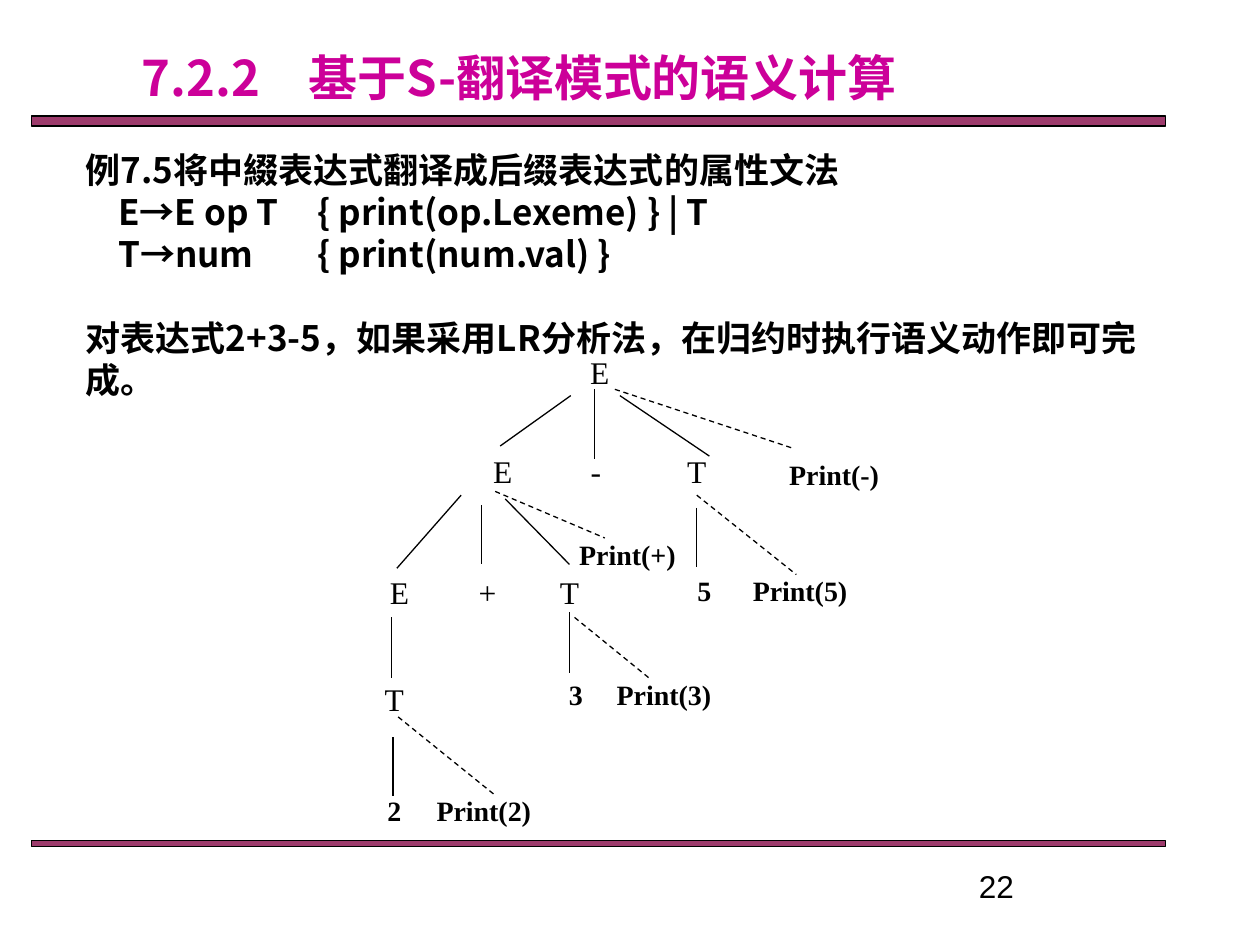
from lxml import etree
from pptx import Presentation
from pptx.dml.color import RGBColor
from pptx.enum.dml import MSO_LINE
from pptx.enum.shapes import MSO_CONNECTOR, MSO_SHAPE
from pptx.enum.text import MSO_AUTO_SIZE, PP_ALIGN
from pptx.oxml.ns import qn
from pptx.util import Inches, Pt

CJK, SERIF = "Noto Sans CJK SC", "Times New Roman"


def rgb(value):
    return RGBColor.from_string(value)


def add_text(box, lines, font, size, color="000000", bold=False, align=PP_ALIGN.LEFT):
    """Add a text box at box (inches), one paragraph a line; return its paragraphs."""
    tf = s.shapes.add_textbox(*map(Inches, box)).text_frame
    tf.word_wrap = True
    tf.auto_size = MSO_AUTO_SIZE.SHAPE_TO_FIT_TEXT
    for i, line in enumerate(lines):
        p = tf.paragraphs[0] if i == 0 else tf.add_paragraph()
        p.alignment = align
        r = p.add_run()
        r.text = line
        for name, value in {"name": font, "size": Pt(size), "bold": bold}.items():
            setattr(r.font, name, value)
        r.font.color.rgb = rgb(color)
        etree.SubElement(r.font._element, qn("a:ea"), typeface=font)
    return tf.paragraphs


prs = Presentation()
prs.slide_width, prs.slide_height = Inches(10), Inches(7.5)
s = prs.slides.add_slide(prs.slide_layouts[6])

# Rules above and below the content
for top, height in [(0.92, 0.08), (6.67, 0.05)]:
    sp = s.shapes.add_shape(MSO_SHAPE.RECTANGLE, Inches(0.25), Inches(top),
                            Inches(9), Inches(height))
    sp.shadow.inherit = False
    sp.fill.solid()
    sp.fill.fore_color.rgb = rgb("993366")
    fill_color = sp._element.spPr.find(qn("a:solidFill"))[0]
    etree.SubElement(fill_color, qn("a:alpha"), val="96000")
    sp.line.color.rgb = rgb("000000")
    sp.line.width = Pt(0.75)

# Title, grammar and page number
add_text((0, 0.33, 8.24, 0.57), ["7.2.2　基于S-翻译模式的语义计算"],
         CJK, 28, "CC0099", True, PP_ALIGN.CENTER)
body = add_text((0.58, 1.06, 8.67, 2.19), [
    "例7.5将中綴表达式翻译成后缀表达式的属性文法",
    "\tE→E op T\t{ print(op.Lexeme) } | T",
    "\tT→num\t{ print(num.val) }",
    "对表达式2+3-5，如果采用LR分析法，在归约时执行语义动作即可完成。",
], CJK, 20, bold=True)
body[0].line_spacing = 1.2
body[3].space_before = Pt(24)
for p in body[1:3]:
    tabs = etree.SubElement(p._p.get_or_add_pPr(), qn("a:tabLst"))
    for stop in (0.26, 1.84):
        etree.SubElement(tabs, qn("a:tab"), pos=str(Inches(stop)), algn="l")
add_text((7.67, 6.83, 2.08, 0.46), ["22"], "Arial", 18)

# Tree labels: centre x, top, text
symbols = [
    (4.76, 2.75, "E"),
    (3.99, 3.54, "E"), (4.73, 3.54, "-"), (5.53, 3.54, "T"),
    (3.17, 4.5, "E"), (3.87, 4.5, "+"), (4.52, 4.5, "T"),
    (3.13, 5.35, "T"),
]
actions = [
    (6.62, 3.58, "Print(-)"), (4.98, 4.22, "Print(+)"),
    (5.59, 4.5, "5"), (6.35, 4.5, "Print(5)"),
    (4.57, 5.33, "3"), (5.27, 5.33, "Print(3)"),
    (3.13, 6.25, "2"), (3.84, 6.25, "Print(2)"),
]
for labels, size, width, bold in [(symbols, 18, 0.5, False), (actions, 16, 1.2, True)]:
    for x, top, text in labels:
        add_text((x - width / 2, top, width, 0.4), [text], SERIF, size,
                 bold=bold, align=PP_ALIGN.CENTER)

# Tree branches, and dashed links to the semantic actions
branches = [
    (4.53, 3.14, 3.97, 3.54), (4.72, 3.09, 4.72, 3.64), (4.92, 3.14, 5.63, 3.62),
    (3.66, 3.93, 3.15, 4.51), (3.82, 4.01, 3.82, 4.48), (4.01, 3.96, 4.52, 4.48),
    (5.53, 4.03, 5.53, 4.5), (3.11, 4.9, 3.11, 5.38), (4.52, 4.86, 4.52, 5.34),
    (3.12, 5.85, 3.12, 6.32),
]
action_links = [
    (4.88, 3.09, 6.3, 3.56), (3.93, 3.9, 4.8, 4.27), (5.53, 3.93, 6.32, 4.56),
    (4.56, 4.9, 5.15, 5.38), (3.16, 5.69, 3.94, 6.32),
]
for links, dash in [(branches, None), (action_links, MSO_LINE.DASH)]:
    for ends in links:
        cn = s.shapes.add_connector(MSO_CONNECTOR.STRAIGHT, *map(Inches, ends))
        cn.line.color.rgb = rgb("000000")
        cn.line.width = Pt(0.75)
        cn.line.dash_style = dash
        etree.SubElement(cn._element.spPr, qn("a:effectLst"))

prs.save("out.pptx")
